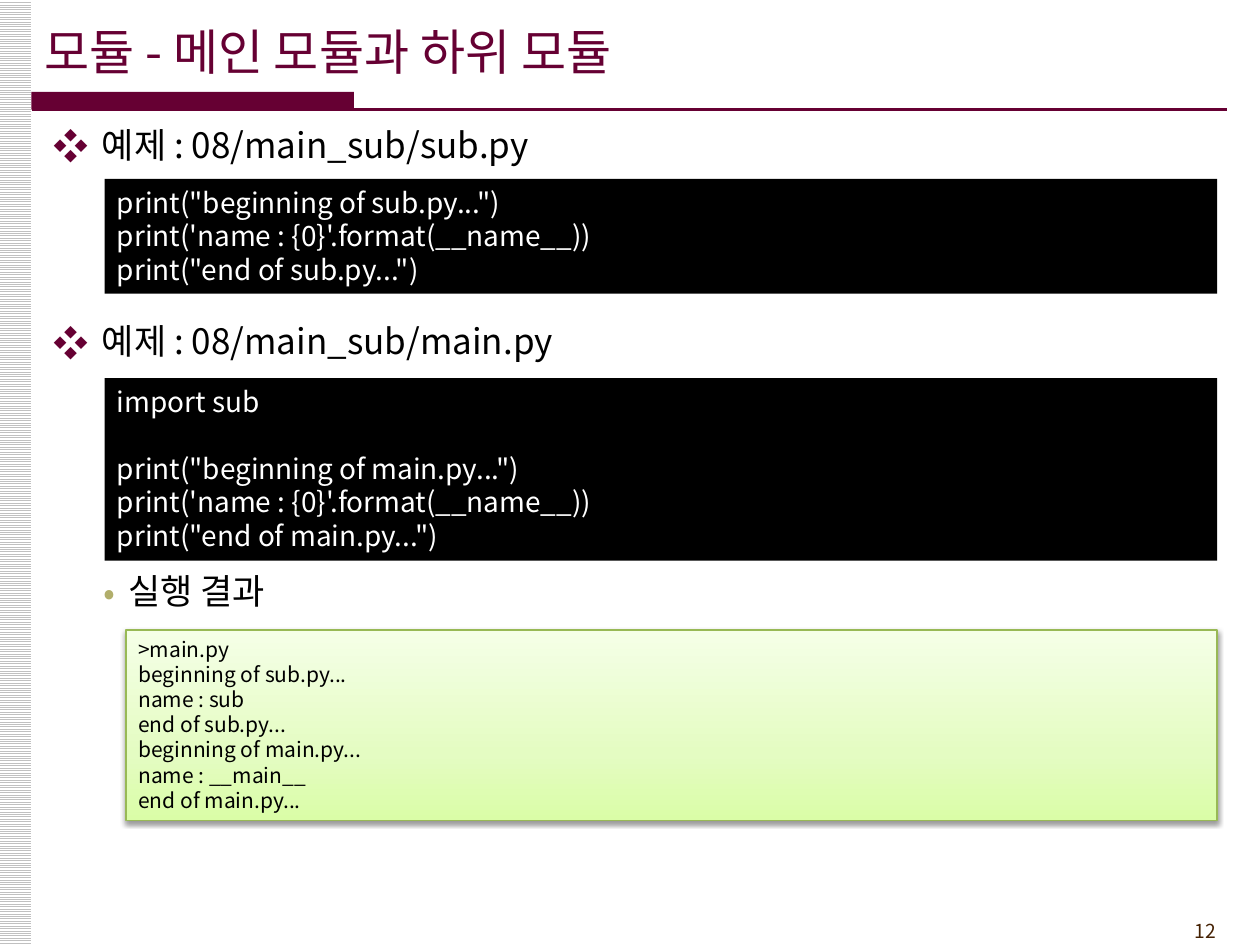
from lxml.etree import SubElement
from pptx import Presentation
from pptx.dml.color import RGBColor
from pptx.enum.dml import MSO_PATTERN
from pptx.enum.shapes import MSO_CONNECTOR, MSO_SHAPE
from pptx.enum.text import MSO_ANCHOR, PP_ALIGN
from pptx.oxml.ns import qn
from pptx.util import Inches, Pt

TITLE = "모듈 - 메인 모듈과 하위 모듈"
NUMBER = "12"
HEADS = [
    ("예제 : 08/main_sub/sub.py", 0.93, "top"),
    ("예제 : 08/main_sub/main.py", 2.49, "top"),
    ("실행 결과", 4.47, "sub"),
]
CODES = [
    (1.42, 0.91, [
        'print("beginning of sub.py...")',
        "print('name : {0}'.format(__name__))",
        'print("end of sub.py...")',
    ], None),
    (3, 1.45, [
        "import sub",
        'print("beginning of main.py...")',
        "print('name : {0}'.format(__name__))",
        'print("end of main.py...")',
    ], 1),
]
RESULT = [
    ">main.py",
    "beginning of sub.py...",
    "name : sub",
    "end of sub.py...",
    "beginning of main.py...",
    "name : __main__",
    "end of main.py...",
]
THEME = {
    "font": "Noto Sans CJK KR",
    "wine": "660033", "ink": "000000", "paper": "FFFFFF",
    "grey": "C0C0C0", "brown": "452103", "edge": "98B955",
    "title": 28, "head": 20, "code": 16, "out": 12, "page": 11,
    "leading": 1.2,
    "grad": [(0, "DAFDA7"), (35, "E4FCC2"), (100, "F5FFE7")],
    "top": {"mark": "❖", "color": "660033", "left": 0.38, "hang": 0.38},
    "sub": {"mark": "•", "color": "B1AE6B", "left": 0.59, "hang": 0.2},
}
RIGHT = 9.66


def rgb(key):
    return RGBColor.from_string(THEME[key])


def inches(*box):
    return [Inches(v) for v in box]


def write(frame, lines, size, color, gap=None, fixed=True, align=PP_ALIGN.LEFT):
    frame.word_wrap = True
    lead = Pt(round(THEME[size] * THEME["leading"], 1))
    for i, line in enumerate(lines):
        para = frame.paragraphs[0] if i == 0 else frame.add_paragraph()
        form = {
            "alignment": align,
            "line_spacing": lead if fixed else 1.0,
            "space_before": lead if i == gap else Pt(0),
        }
        for name, value in form.items():
            setattr(para, name, value)
        run = para.add_run()
        run.text = line
        font = {"name": THEME["font"], "size": Pt(THEME[size]), "bold": False}
        for name, value in font.items():
            setattr(run.font, name, value)
        run.font.color.rgb = rgb(color)
        SubElement(run.font._element, qn("a:ea"), typeface=THEME["font"])


def bullet(para, style):
    props = para._p.get_or_add_pPr()
    props.set("marL", str(Inches(style["left"])))
    props.set("indent", str(-Inches(style["hang"])))
    tint = SubElement(props, qn("a:buClr"))
    SubElement(tint, qn("a:srgbClr"), val=style["color"])
    SubElement(props, qn("a:buFont"), typeface=THEME["font"])
    SubElement(props, qn("a:buChar"), char=style["mark"])


def block(slide, box, color=None):
    shape = slide.shapes.add_shape(MSO_SHAPE.RECTANGLE, *inches(*box))
    shape.shadow.inherit = False
    shape.line.fill.background()
    if color:
        shape.fill.solid()
        shape.fill.fore_color.rgb = rgb(color)
    shape.text_frame.vertical_anchor = MSO_ANCHOR.TOP
    return shape


def label(slide, box):
    return slide.shapes.add_textbox(*inches(*box)).text_frame


def frame(slide):
    band = block(slide, (-0.01, 0, 0.26, 7.5))
    band.fill.patterned()
    band.fill.pattern = MSO_PATTERN.LIGHT_HORIZONTAL
    band.fill.fore_color.rgb = rgb("grey")
    band.fill.back_color.rgb = rgb("paper")
    block(slide, (0.25, 0.73, 2.56, 0.14), "wine")
    ends = inches(0.25, 0.87, 9.74, 0.87)
    rule = slide.shapes.add_connector(MSO_CONNECTOR.STRAIGHT, *ends)
    rule.line.color.rgb = rgb("wine")
    rule.line.width = Pt(1.5)
    SubElement(rule._element.spPr, qn("a:effectLst"))
    page = label(slide, (8.92, 7.25, 0.83, 0.25))
    write(page, [NUMBER], "page", "brown", align=PP_ALIGN.RIGHT)


def glow(shape):
    shape.fill.gradient()
    shape.fill.gradient_angle = 90
    stops = shape._element.spPr.find(qn("a:gradFill")).find(qn("a:gsLst"))
    for stop in list(stops):
        stops.remove(stop)
    for pos, color in THEME["grad"]:
        stop = SubElement(stops, qn("a:gs"), pos=str(pos * 1000))
        SubElement(stop, qn("a:srgbClr"), val=color)
    shape.line.color.rgb = rgb("edge")
    shape.line.width = Pt(0.75)
    effect = shape._element.spPr.find(qn("a:effectLst"))
    shade = SubElement(effect, qn("a:outerShdw"), blurRad=str(Pt(3.1)),
                       dist=str(Pt(1.6)), dir="5400000", rotWithShape="0")
    tint = SubElement(shade, qn("a:srgbClr"), val=THEME["ink"])
    SubElement(tint, qn("a:alpha"), val="38000")


def main():
    deck = Presentation()
    deck.slide_width, deck.slide_height = inches(10, 7.5)
    slide = deck.slides.add_slide(deck.slide_layouts[5])
    frame(slide)

    title = slide.shapes.title
    spots = inches(0.25, 0.09, 8.27, 0.63)
    for name, value in zip(("left", "top", "width", "height"), spots):
        setattr(title, name, value)
    title.text_frame.vertical_anchor = MSO_ANCHOR.MIDDLE
    write(title.text_frame, [TITLE], "title", "wine", fixed=False)

    for text, top, style in HEADS:
        head = label(slide, (0.33, top, 9.5, 0.43))
        write(head, [text], "head", "ink")
        bullet(head.paragraphs[0], THEME[style])

    for top, high, lines, gap in CODES:
        code = block(slide, (0.83, top, RIGHT - 0.83, high), "ink")
        write(code.text_frame, lines, "code", "paper", gap)

    result = block(slide, (1, 5, RIGHT - 1, 1.51))
    glow(result)
    write(result.text_frame, RESULT, "out", "ink")
    deck.save("out.pptx")


if __name__ == "__main__":
    main()
